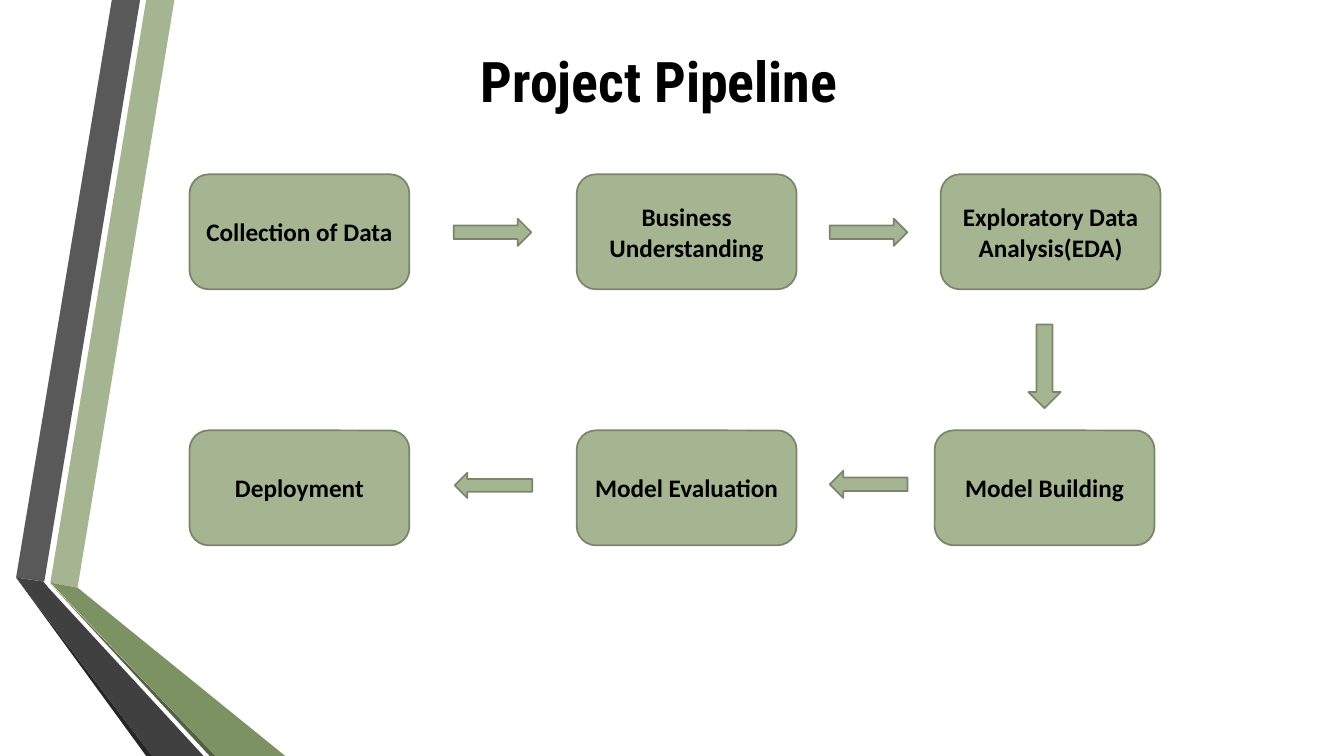
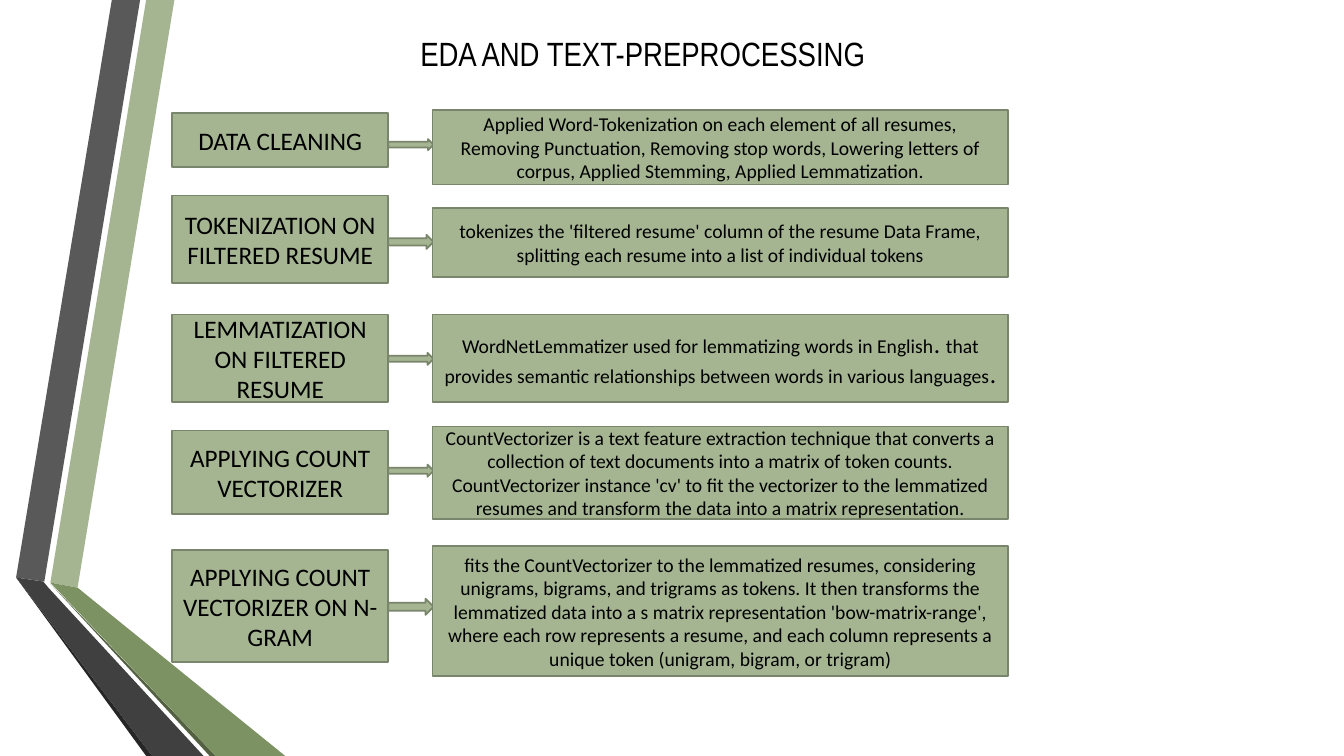
from pptx import Presentation
from pptx import util as u
from pptx.dml.color import RGBColor
from pptx.enum import shapes, text

PX = 9144  # EMU per px, 100 px to the inch
SAGE, EDGE, BLACK = "A5B592", "7A866C", "000000"
BODY_FONT = "Calibri"
KIND = shapes.MSO_SHAPE

# Folded ribbons along the left edge: colour and outline
RIBBONS = [
    (SAGE, [(50, 578), (77, 583), (173, 0), (145, 0)]),
    ("595959", [(139, 0), (111, 0), (16, 573), (44, 577)]),
    ("262626", [(16, 573), (145, 750), (151, 750)]),
    ("536142", [(50, 579), (208, 750), (214, 750)]),
    ("7D9263", [(50, 578), (214, 750), (283, 750), (77, 583)]),
    ("404040", [(202, 750), (48, 583), (43, 577), (16, 573), (151, 750)]),
]

# Pipeline grid: left, top, label
STEP_SIZE = (218, 114)
STEPS = [
    (188, 173, "Collection of Data"),
    (572, 173, "Business Understanding"),
    (933, 173, "Exploratory Data Analysis(EDA)"),
    (927, 427, "Model Building"),
    (572, 427, "Model Evaluation"),
    (188, 427, "Deployment"),
]
STEP_ARROWS = [
    (KIND.RIGHT_ARROW, (450, 217, 77, 27)),
    (KIND.RIGHT_ARROW, (823, 217, 77, 27)),
    (KIND.DOWN_ARROW, (1020, 322, 32, 83)),
    (KIND.LEFT_ARROW, (823, 467, 77, 27)),
    (KIND.LEFT_ARROW, (451, 469, 77, 25)),
]

# Preprocessing rows: label, detail spans, then (top, height) of label, arrow, detail
COLUMNS = [(171, 214), (385, 45), (429, 571)]
ROWS = [
    ("DATA CLEANING",
     [("Applied Word-Tokenization on each element of all resumes, Removing "
       "Punctuation, Removing stop words, Lowering letters of corpus, Applied "
       "Stemming, Applied Lemmatization.", 14)],
     [(112, 54), (138, 11), (109, 74)]),
    ("TOKENIZATION ON FILTERED RESUME",
     [("tokenizes the 'filtered resume' column of the resume Data Frame, "
       "splitting each resume into a list of individual tokens", 14)],
     [(194, 87), (233, 14), (206, 69)]),
    ("LEMMATIZATION ON FILTERED RESUME",
     [("WordNetLemmatizer used for lemmatizing words in English", 14),
      (". ", 18), ("that", 14), (" ", 18),
      ("provides semantic relationships between words in various languages", 14),
      (".", 18)],
     [(312, 87), (350, 12), (312, 87)]),
    ("APPLYING COUNT VECTORIZER",
     [("CountVectorizer is a text feature extraction technique that converts a "
       "collection of text documents into a matrix of token counts. "
       "CountVectorizer instance 'cv' to fit the vectorizer to the lemmatized "
       "resumes and transform the data into a matrix representation.", 14)],
     [(427, 83), (461, 12), (423, 92)]),
    ("APPLYING COUNT VECTORIZER ON N-GRAM",
     [("fits the CountVectorizer to the lemmatized resumes, considering "
       "unigrams, bigrams, and trigrams as tokens. It then transforms the "
       "lemmatized data into a s matrix representation 'bow-matrix-range', "
       "where each row represents a resume, and each column represents a "
       "unique token (unigram, bigram, or trigram)", 14)],
     [(546, 111), (594, 16), (542, 129)]),
]


def color(value):
    return RGBColor.from_string(value)


def emu(lengths):
    return [length * PX for length in lengths]


def paint(shape, fill, line=None):
    shape.shadow.inherit = False
    shape.fill.solid()
    shape.fill.fore_color.rgb = color(fill)
    if line:
        shape.line.color.rgb = color(line)
        shape.line.width = u.Pt(1.25)
    else:
        shape.line.fill.background()


def style_font(para, name, size, bold=False):
    para.font.name = name
    para.font.size = u.Pt(size)
    para.font.bold = bold
    para.font.color.rgb = color(BLACK)


def add_block(page, kind, place):
    block = page.shapes.add_shape(kind, *emu(place))
    paint(block, SAGE, EDGE)
    return block


def add_box(page, kind, place, spans, bold=False):
    """Filled box with centred text; spans are (words, size) pairs."""
    frame = add_block(page, kind, place).text_frame
    frame.word_wrap = True
    frame.vertical_anchor = text.MSO_ANCHOR.MIDDLE
    para = frame.paragraphs[0]
    para.alignment = text.PP_ALIGN.CENTER
    base_size = spans[0][1]
    style_font(para, BODY_FONT, base_size, bold)
    for words, size in spans:
        span = para.add_run()
        span.text = words
        if size != base_size:
            span.font.size = u.Pt(size)


def add_title(page, place, words, font, size, bold=False):
    frame = page.shapes.add_textbox(*emu(place)).text_frame
    frame.word_wrap = True
    frame.auto_size = text.MSO_AUTO_SIZE.SHAPE_TO_FIT_TEXT
    para = frame.paragraphs[0]
    para.text = words
    style_font(para, font, size, bold)


def add_page(deck):
    """Blank page with the shared ribbons."""
    page = deck.slides.add_slide(deck.slide_layouts[6])
    for fill, points in RIBBONS:
        outline = page.shapes.build_freeform(*points[0], scale=PX)
        outline.add_line_segments(points[1:], close=True)
        paint(outline.convert_to_shape(), fill)
    return page


def build_pipeline(deck):
    page = add_page(deck)
    for left, top, label in STEPS:
        add_box(page, KIND.ROUNDED_RECTANGLE, (left, top, *STEP_SIZE),
                [(label, 18)], bold=True)
    for kind, place in STEP_ARROWS:
        add_block(page, kind, place)
    add_title(page, (467, 41, 400, 77), "Project Pipeline",
              "Roboto Condensed", 40, bold=True)


def build_preprocessing(deck):
    page = add_page(deck)
    add_title(page, (407, 28, 516, 50), "EDA AND TEXT-PREPROCESSING",
              "Arial Narrow", 24)
    for label, detail, extents in ROWS:
        label_place, arrow_place, detail_place = [
            (left, top, width, height)
            for (left, width), (top, height) in zip(COLUMNS, extents)]
        add_box(page, KIND.RECTANGLE, label_place, [(label, 18)])
        add_block(page, KIND.RIGHT_ARROW, arrow_place)
        add_box(page, KIND.RECTANGLE, detail_place, detail)


def main():
    deck = Presentation()
    deck.slide_width, deck.slide_height = emu((1333, 750))
    build_pipeline(deck)
    build_preprocessing(deck)
    deck.save("out.pptx")


if __name__ == "__main__":
    main()
